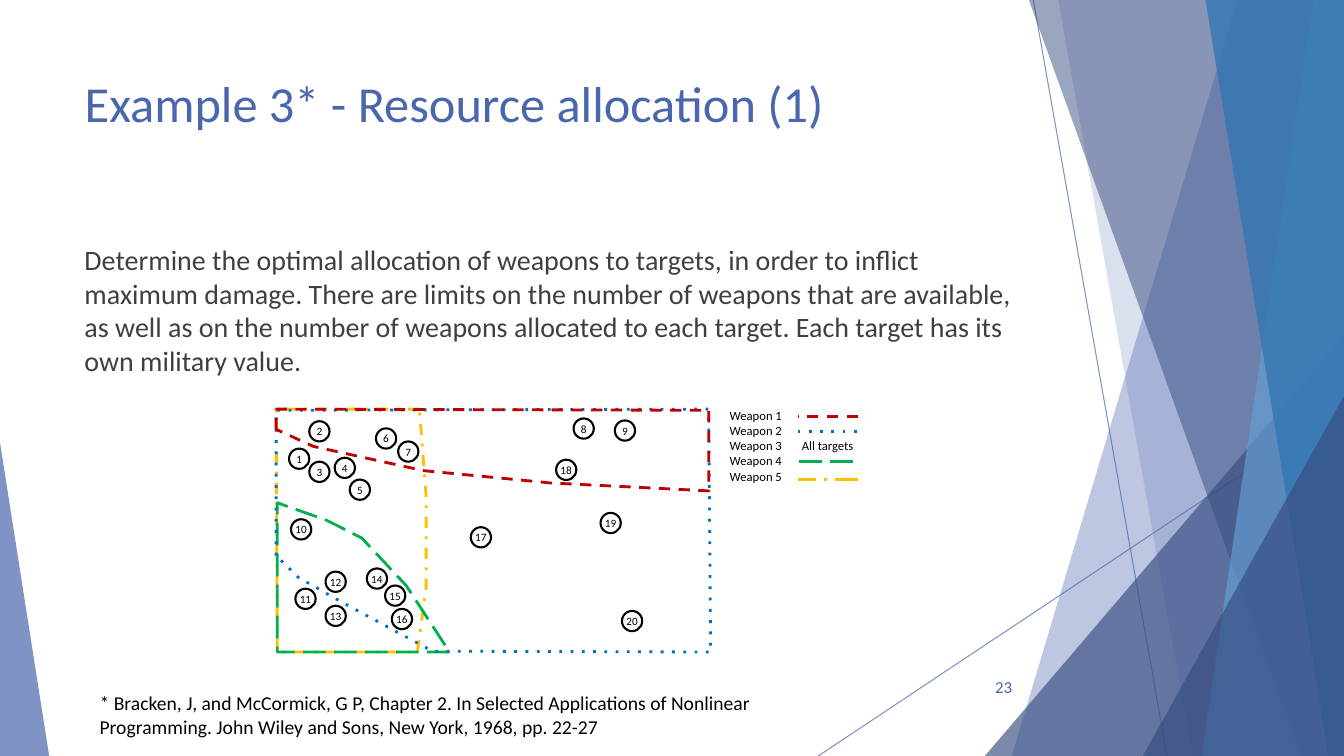
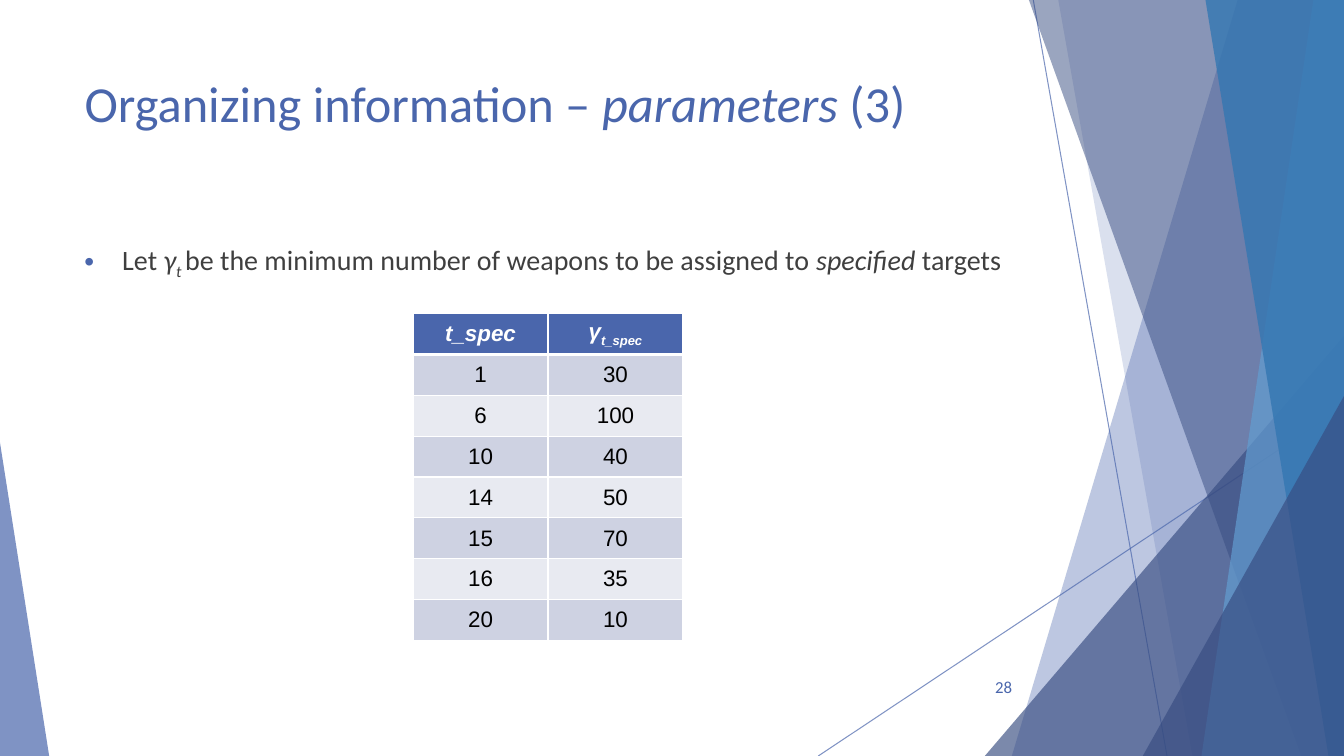
import lxml.etree
import pptx
import pptx.dml.color
import pptx.enum.shapes
import pptx.enum.text
import pptx.oxml.ns
import pptx.util

Cm = pptx.util.Cm
Pt = pptx.util.Pt
qn = pptx.oxml.ns.qn
SHAPE = pptx.enum.shapes.MSO_SHAPE
ALIGN = pptx.enum.text.PP_ALIGN
ANCHOR = pptx.enum.text.MSO_ANCHOR

WIDE, HIGH = 33.87, 19.05
BLUE, NAVY, SKY, DEEP = "4A66AC", "374C81", "629DD1", "3477B2"
GREY, BLACK, WHITE = "3F3F3F", "000000", "FFFFFF"
PALE, LIGHT = "CED2E2", "E8EAF1"

# Top x, bottom x, colour and opacity of each panel running to the right edge
PANELS_BACK = [(31.19, 25.5, BLUE, 36), (26.67, 30.05, BLUE, 20)]
PANELS_FRONT = [(25.93, 32.79, NAVY, 50), (33.1, 30.28, SKY, 70),
                (30.38, 33.48, DEEP, 80)]

# Name, colour, dash, range outline; right end, height and dash of the key line
WEAPONS = [
    ("Weapon 1", "C00000", "dash",
     [(6.96, 10.82), (6.96, 10.31), (17.86, 10.34), (17.86, 12.37),
      (13.87, 12.17), (10.67, 11.86), (7.9, 11.25)], (21.62, 10.49, "dash")),
    ("Weapon 2", "0070C0", "dot",
     [(6.96, 14), (6.96, 10.34), (17.86, 10.31), (17.91, 16.43),
      (10.9, 16.41), (8.59, 15.16), (7.52, 14.55)], (21.59, 10.87, "dot")),
    ("Weapon 3", None, None, None, None),
    ("Weapon 4", "00B050", "lgDash",
     [(11.33, 16.43), (6.99, 16.43), (6.99, 12.67), (8.23, 13.11),
      (9.12, 13.56), (10.24, 14.76)], (21.49, 11.63, "lgDash")),
    ("Weapon 5", "FFC000", "dashDot",
     [(10.57, 10.31), (6.96, 10.31), (6.99, 16.43), (10.52, 16.43),
      (10.74, 14.81), (10.74, 12.5)], (21.62, 12.09, "lgDashDot")),
]

# Centres of targets 1 to 20
TARGETS = [
    (7.54, 11.56), (8.05, 10.87), (8.05, 11.89), (8.69, 11.79), (9.07, 12.34),
    (9.73, 11.05), (10.29, 11.38), (14.71, 10.8), (15.75, 10.85), (7.59, 13.34),
    (7.7, 15.09), (8.46, 14.66), (8.46, 15.52), (9.5, 14.58), (9.96, 15.01),
    (10.13, 15.6), (12.12, 13.54), (14.27, 11.84), (15.39, 13.18), (15.93, 15.65),
]

MINIMUM = [(1, 30), (6, 100), (10, 40), (14, 50), (15, 70), (16, 35), (20, 10)]


def hue(code):
    return pptx.dml.color.RGBColor.from_string(code)


def add(node, tag, **attrs):
    return lxml.etree.SubElement(node, qn(tag), attrs)


def fade(shape, percent):
    """Set the opacity of every colour in the shape."""
    for tint in shape.element.iter(qn("a:srgbClr")):
        add(tint, "a:alpha", val=str(percent * 1000))


def dash(shape, style):
    add(shape.element.spPr.find(qn("a:ln")), "a:prstDash", val=style)


class Deck:
    def __init__(self):
        self.show = pptx.Presentation()
        self.show.slide_width = Cm(WIDE)
        self.show.slide_height = Cm(HIGH)
        self.slide = None

    def start(self, title, number):
        """Add a slide with the shared backdrop, title and number."""
        self.slide = self.show.slides.add_slide(self.show.slide_layouts[5])
        self.backdrop()
        head = self.slide.shapes.title
        head.left, head.top, head.width, head.height = map(Cm, (1.88, 1.7, 23.88, 3.66))
        frame = head.text_frame
        frame.auto_size = pptx.enum.text.MSO_AUTO_SIZE.NONE
        frame.vertical_anchor = ANCHOR.TOP
        self.fill_par(frame.paragraphs[0], title, 36, BLUE)
        self.text((23.85, 16.79, 1.91, 1.02), [[number]], 12, BLUE,
                  ALIGN.RIGHT, ANCHOR.MIDDLE)

    def backdrop(self):
        self.line((26.04, 0), (29.41, HIGH), BLUE, 0.75, alpha=70)
        self.line((WIDE, 10.24), (20.62, HIGH), BLUE, 0.75, alpha=70)
        self.panels(PANELS_BACK)
        self.wedge((24.82, 8.46), 9.05, 1, NAVY, 66)
        self.panels(PANELS_FRONT)
        self.wedge((28.8, 9.98), 5.07, 1, NAVY, 66)
        self.wedge((0, 11.15), 1.24, 0, BLUE, 70)

    def panels(self, rows):
        for top, base, code, alpha in rows:
            shape = self.outline([(top, 0), (WIDE, 0), (WIDE, HIGH), (base, HIGH)])
            self.paint(shape, code, alpha)

    def wedge(self, corner, width, tip, code, alpha):
        """Draw a triangle that stands on the bottom edge."""
        left, top = corner
        shape = self.slide.shapes.add_shape(
            SHAPE.ISOSCELES_TRIANGLE, Cm(left), Cm(top), Cm(width), Cm(HIGH - top))
        shape.adjustments[0] = tip
        self.paint(shape, code, alpha)

    def paint(self, shape, code, alpha):
        shape.shadow.inherit = False
        shape.fill.solid()
        shape.fill.fore_color.rgb = hue(code)
        shape.line.fill.background()
        fade(shape, alpha)

    def stroke(self, shape, code, weight):
        shape.shadow.inherit = False
        shape.fill.background()
        shape.line.color.rgb = hue(code)
        shape.line.width = Pt(weight)

    def outline(self, points):
        spots = [(Cm(x), Cm(y)) for x, y in points]
        pen = self.slide.shapes.build_freeform(*spots[0], scale=1.0)
        pen.add_line_segments(spots[1:], close=True)
        return pen.convert_to_shape()

    def line(self, start, end, code, weight, style="solid", alpha=100):
        rule = self.slide.shapes.add_connector(
            pptx.enum.shapes.MSO_CONNECTOR.STRAIGHT, *map(Cm, start + end))
        rule.line.color.rgb = hue(code)
        rule.line.width = Pt(weight)
        dash(rule, style)
        add(rule.element.spPr, "a:effectLst")
        fade(rule, alpha)

    def fill_par(self, par, parts, size, code, align=ALIGN.LEFT, font="Calibri"):
        """Add runs; a part is text or (text, marks): b bold, i italic, s subscript."""
        par.alignment = align
        for part in parts:
            words, marks = (part, "") if isinstance(part, str) else part
            run = par.add_run()
            run.text = words
            run.font.name = font
            run.font.size = Pt(size)
            run.font.color.rgb = hue(code)
            run.font.bold = "b" in marks
            run.font.italic = "i" in marks
            if "s" in marks:
                run._r.get_or_add_rPr().set("baseline", "-25000")

    def text(self, box, lines, size, code, align=ALIGN.LEFT, anchor=ANCHOR.TOP):
        frame = self.slide.shapes.add_textbox(*map(Cm, box)).text_frame
        frame.word_wrap = True
        frame.vertical_anchor = anchor
        for index, parts in enumerate(lines):
            par = frame.add_paragraph() if index else frame.paragraphs[0]
            self.fill_par(par, parts, size, code, align)
        return frame

    def body(self, parts, height, bullet=False):
        frame = self.text((1.88, 5.99, 23.88, height), [parts], 20, GREY)
        if bullet:
            props = frame.paragraphs[0]._p.get_or_add_pPr()
            indent = Cm(0.95)
            props.set("marL", str(indent))
            props.set("indent", str(-indent))
            add(add(props, "a:buClr"), "a:srgbClr", val=BLUE)
            add(props, "a:buFont", typeface="Arial")
            add(props, "a:buChar", char="•")

    def target(self, number, centre):
        size = 0.51
        x, y = centre
        ring = self.slide.shapes.add_shape(
            SHAPE.OVAL, Cm(x - size / 2), Cm(y - size / 2), Cm(size), Cm(size))
        self.stroke(ring, BLACK, 1.5)
        frame = ring.text_frame
        frame.margin_left = frame.margin_right = 0
        frame.margin_top = frame.margin_bottom = 0
        frame.word_wrap = False
        frame.vertical_anchor = ANCHOR.MIDDLE
        self.fill_par(frame.paragraphs[0], [str(number)], 8, BLACK, ALIGN.CENTER)

    def table(self, corner, width, height, rows):
        """Draw a table whose first row is the header."""
        count = len(rows[0])
        grid = self.slide.shapes.add_table(
            len(rows), count, *map(Cm, corner),
            Cm(width * count), Cm(height * len(rows))).table
        grid.horz_banding = False
        for r, row in enumerate(rows):
            grid.rows[r].height = Cm(height)
            for c, parts in enumerate(row):
                cell = grid.cell(r, c)
                self.border(cell, {"T": 3 if r == 1 else 1, "B": 1 if r else 3})
                cell.fill.solid()
                cell.fill.fore_color.rgb = hue((LIGHT, PALE)[r % 2] if r else BLUE)
                cell.vertical_anchor = ANCHOR.MIDDLE
                self.fill_par(cell.text_frame.paragraphs[0], parts, 16,
                              BLACK if r else WHITE, ALIGN.CENTER, "Arial")

    def border(self, cell, widths):
        props = cell._tc.get_or_add_tcPr()
        for side in "LRTB":
            edge = add(props, "a:ln" + side, w=str(Pt(widths.get(side, 1))))
            add(add(edge, "a:solidFill"), "a:srgbClr", val=WHITE)


def draw_map(deck):
    for name, code, style, points, key in reversed(WEAPONS):
        if points:
            shape = deck.outline(points)
            deck.stroke(shape, code, 2)
            dash(shape, style)
    for number, centre in enumerate(TARGETS, 1):
        deck.target(number, centre)


def draw_key(deck):
    for index, (name, code, style, points, key) in enumerate(WEAPONS):
        top = 10.16 + 0.38 * index
        deck.text((18.14, top, 2.2, 0.64), [[name]], 9, BLACK)
        if key:
            right, level, pattern = key
            deck.line((right, level), (right - 1.5, level), code, 2, pattern)
        else:
            deck.text((19.96, top, 2.2, 0.64), [["All targets"]], 9, BLACK)


def main():
    deck = Deck()

    deck.start(["Example 3* - Resource allocation (1)"], "23")
    deck.body(["Determine the optimal allocation of weapons to targets, in order to "
               "inflict maximum damage. There are limits on the number of weapons that "
               "are available, as well as on the number of weapons allocated to each "
               "target. Each target has its own military value."], 3.84)
    draw_map(deck)
    draw_key(deck)
    deck.text((2.26, 17.42, 23.06, 1.19), [
        ["* Bracken, J, and McCormick, G P, Chapter 2. In Selected Applications of Nonlinear"],
        ["Programming. John Wiley and Sons, New York, 1968, pp. 22-27"],
    ], 14, BLACK, ALIGN.JUSTIFY, ANCHOR.MIDDLE)

    deck.start(["Organizing information – ", ("parameters ", "i"), "(3)"], "28")
    deck.body(["Let ", ("γ", "i"), ("t ", "is"),
               "be the minimum number of weapons to be assigned to ",
               ("specified", "i"), " targets"], 10.77, bullet=True)
    header = [[("t_spec", "bi")], [("γ", "bi"), ("t_spec", "bis")]]
    rows = [[[str(value)] for value in pair] for pair in MINIMUM]
    deck.table((10.41, 7.9), 3.4, 1.03, [header] + rows)

    deck.show.save("out.pptx")


if __name__ == "__main__":
    main()
